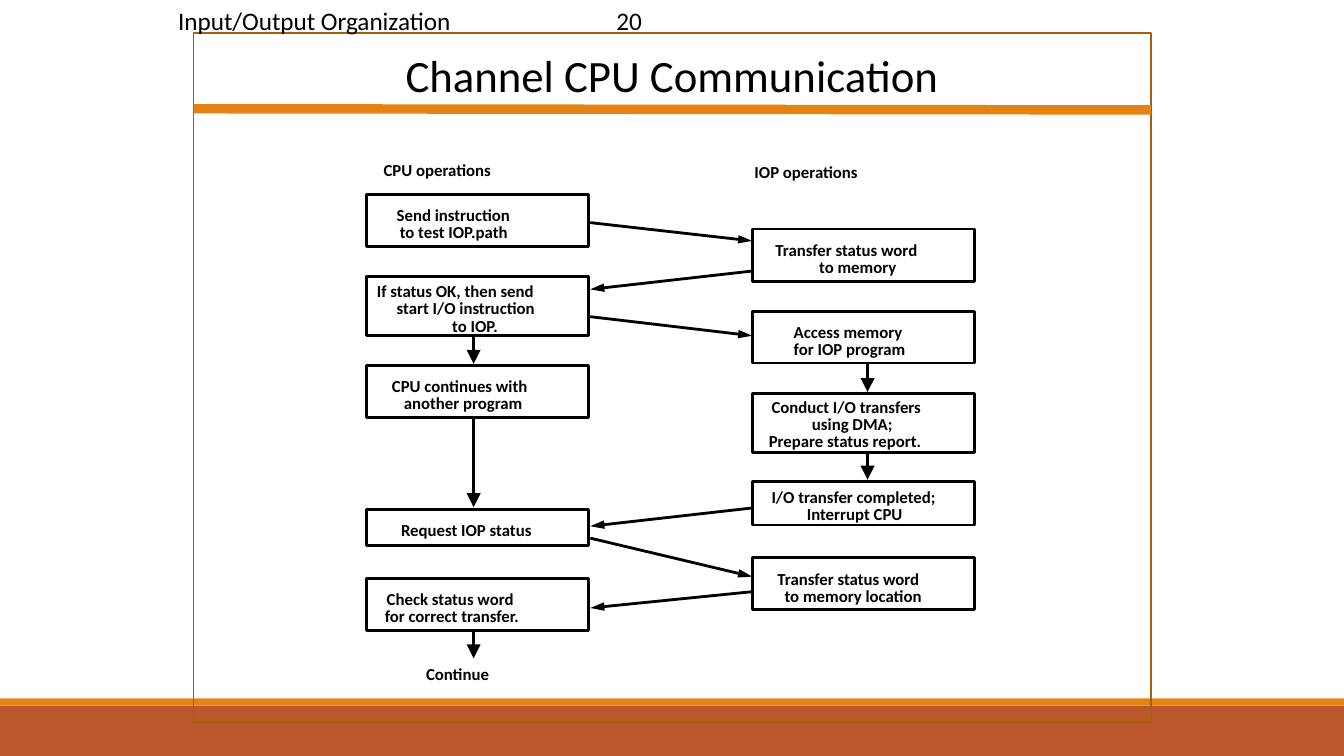
from dataclasses import dataclass

from lxml import etree
from pptx import Presentation
from pptx.dml.color import RGBColor
from pptx.enum.shapes import MSO_CONNECTOR, MSO_SHAPE
from pptx.enum.text import MSO_ANCHOR, PP_ALIGN
from pptx.oxml.ns import qn
from pptx.shapes.autoshape import Shape
from pptx.shapes.connector import Connector
from pptx.util import Cm, Pt

RECT = MSO_SHAPE.RECTANGLE
STRAIGHT = MSO_CONNECTOR.STRAIGHT
LEFT, CENTER = PP_ALIGN.LEFT, PP_ALIGN.CENTER
TOP = MSO_ANCHOR.TOP


@dataclass(frozen=True)
class Theme:
    font: str = "Calibri"
    ink: str = "000000"
    frame: str = "A75F0A"
    accent: str = "E48312"
    footer: str = "BD582C"
    title: float = 32
    header: float = 18
    label: float = 12
    frame_line: float = 1.25
    rule_line: float = 6.75
    flow_line: float = 2


@dataclass(frozen=True)
class Label:
    text: str
    x: float
    w: float


@dataclass(frozen=True)
class Step:
    x: float
    y: float
    h: float
    text_y: float
    labels: tuple[Label, ...]


@dataclass(frozen=True)
class Arrow:
    x1: float
    y1: float
    x2: float
    y2: float
    head_width: str = "med"


THEME = Theme()
CPU_X, IOP_X, STEP_W = 9.25, 18.97, 5.59
CPU_EDGE, IOP_EDGE = 14.88, 18.96
CPU_FLOW_X, IOP_FLOW_X = 11.94, 21.87
LINE_PITCH, LABEL_H = 0.43, 0.76

STEPS = (
    Step(CPU_X, 4.9, 1.32, 5.03, (
        Label("Send instruction", 9.75, 3.38),
        Label("to test IOP.path", 9.83, 3.3))),
    Step(CPU_X, 6.96, 1.5, 6.96, (
        Label("If status OK, then send", 9.25, 4.47),
        Label("start I/O instruction", 9.75, 4.01),
        Label("to IOP.", 11.15, 1.7))),
    Step(CPU_X, 9.22, 1.3, 9.35, (
        Label("CPU continues with", 9.63, 3.94),
        Label("another program", 9.93, 3.51))),
    Step(CPU_X, 12.83, 0.91, 12.98, (
        Label("Request IOP status", 9.86, 3.81),)),
    Step(CPU_X, 14.58, 1.3, 14.71, (
        Label("Check status word", 9.5, 3.73),
        Label("for correct transfer.", 9.45, 3.96))),
    Step(IOP_X, 5.77, 1.32, 5.92, (
        Label("Transfer status word", 19.3, 4.14),
        Label("to memory", 20.4, 2.46))),
    Step(IOP_X, 7.85, 1.3, 7.98, (
        Label("Access memory", 19.76, 3.25),
        Label("for IOP program", 19.76, 3.35))),
    Step(IOP_X, 9.91, 1.5, 9.88, (
        Label("Conduct I/O transfers", 19.2, 4.29),
        Label("using DMA;", 20.22, 2.54),
        Label("Prepare status report.", 19.13, 4.37))),
    Step(IOP_X, 12.14, 1.09, 12.14, (
        Label("I/O transfer completed;", 19.2, 4.67),
        Label("Interrupt CPU", 20.09, 2.92))),
    Step(IOP_X, 14.05, 1.32, 14.2, (
        Label("Transfer status word", 19.35, 4.14),
        Label("to memory location", 19.53, 3.96))),
)

CAPTIONS = (
    (Label("CPU operations", 9.42, 3.23), 3.91),
    (Label("IOP operations", 18.77, 3.12), 3.94),
    (Label("Continue", 10.49, 2.11), 16.59),
)

ARROWS = (
    Arrow(CPU_EDGE, 5.61, IOP_EDGE, 6.07),
    Arrow(IOP_EDGE, 6.83, CPU_EDGE, 7.29),
    Arrow(CPU_EDGE, 7.98, IOP_EDGE, 8.46),
    Arrow(IOP_EDGE, 12.8, CPU_EDGE, 13.26),
    Arrow(CPU_EDGE, 13.56, IOP_EDGE, 14.53),
    Arrow(IOP_EDGE, 14.91, CPU_EDGE, 15.32),
    Arrow(CPU_FLOW_X, 8.46, CPU_FLOW_X, 9.17, "lg"),
    Arrow(CPU_FLOW_X, 10.52, CPU_FLOW_X, 12.78, "lg"),
    Arrow(CPU_FLOW_X, 15.9, CPU_FLOW_X, 16.59, "lg"),
    Arrow(IOP_FLOW_X, 9.17, IOP_FLOW_X, 9.88, "lg"),
    Arrow(IOP_FLOW_X, 11.4, IOP_FLOW_X, 12.09, "lg"),
)

prs = Presentation()
prs.slide_width, prs.slide_height = Cm(33.88), Cm(19.05)
s = prs.slides.add_slide(prs.slide_layouts[6])


def rgb(color: str) -> RGBColor:
    return RGBColor.from_string(color)


def add_bar(y: float, h: float, color: str) -> None:
    sp = s.shapes.add_shape(RECT, 0, Cm(y), prs.slide_width, Cm(h))
    sp.shadow.inherit = False
    sp.fill.solid()
    sp.fill.fore_color.rgb = rgb(color)
    sp.line.fill.background()


def add_outline(x: float, y: float, w: float, h: float, color: str, width: float) -> None:
    sp = s.shapes.add_shape(RECT, Cm(x), Cm(y), Cm(w), Cm(h))
    sp.shadow.inherit = False
    sp.fill.background()
    sp.line.color.rgb = rgb(color)
    sp.line.width = Pt(width)


def add_text(text: str, x: float, y: float, w: float, h: float, size: float,
             bold: bool = False, wrap: bool = True, align: PP_ALIGN = LEFT) -> Shape:
    sp = s.shapes.add_textbox(Cm(x), Cm(y), Cm(w), Cm(h))
    tf = sp.text_frame
    tf.word_wrap = wrap
    tf.vertical_anchor = TOP
    p = tf.paragraphs[0]
    p.alignment = align
    r = p.add_run()
    r.text = text
    r.font.name = THEME.font
    r.font.size = Pt(size)
    r.font.bold = bold
    r.font.color.rgb = rgb(THEME.ink)
    return sp


def add_label(label: Label, y: float) -> None:
    add_text(label.text, label.x, y, label.w, LABEL_H, THEME.label, bold=True, wrap=False)


def add_line(x1: float, y1: float, x2: float, y2: float, color: str, width: float) -> Connector:
    cx = s.shapes.add_connector(STRAIGHT, Cm(x1), Cm(y1), Cm(x2), Cm(y2))
    cx.line.color.rgb = rgb(color)
    cx.line.width = Pt(width)
    etree.SubElement(cx._element.spPr, qn("a:effectLst"))
    return cx


def add_arrow(a: Arrow) -> None:
    cx = add_line(a.x1, a.y1, a.x2, a.y2, THEME.ink, THEME.flow_line)
    etree.SubElement(cx.line._get_or_add_ln(), qn("a:tailEnd"),
                     type="triangle", w=a.head_width, len="lg")


def add_tab_stop(sp: Shape, position: float) -> None:
    pPr = sp.text_frame.paragraphs[0]._p.get_or_add_pPr()
    tabs = etree.SubElement(pPr, qn("a:tabLst"))
    etree.SubElement(tabs, qn("a:tab"), pos=str(Cm(position)), algn="l")


add_bar(17.78, 1.27, THEME.footer)
add_bar(17.6, 0.18, THEME.accent)
add_outline(4.88, 0.84, 24.13, 17.35, THEME.frame, THEME.frame_line)
header = add_text("Input/Output Organization\t20", 4.24, 0, 25.4, 1.04, THEME.header)
add_tab_stop(header, 11.05)
add_line(4.88, 2.74, 29.01, 2.77, THEME.accent, THEME.rule_line)
add_text("Channel CPU Communication", 6.25, 1.07, 21.39, 1.63, THEME.title, align=CENTER)

for step in STEPS:
    add_outline(step.x, step.y, STEP_W, step.h, THEME.ink, THEME.flow_line)
    for i, label in enumerate(step.labels):
        add_label(label, step.text_y + i * LINE_PITCH)
for caption, caption_y in CAPTIONS:
    add_label(caption, caption_y)
for arrow in ARROWS:
    add_arrow(arrow)

prs.save("out.pptx")
